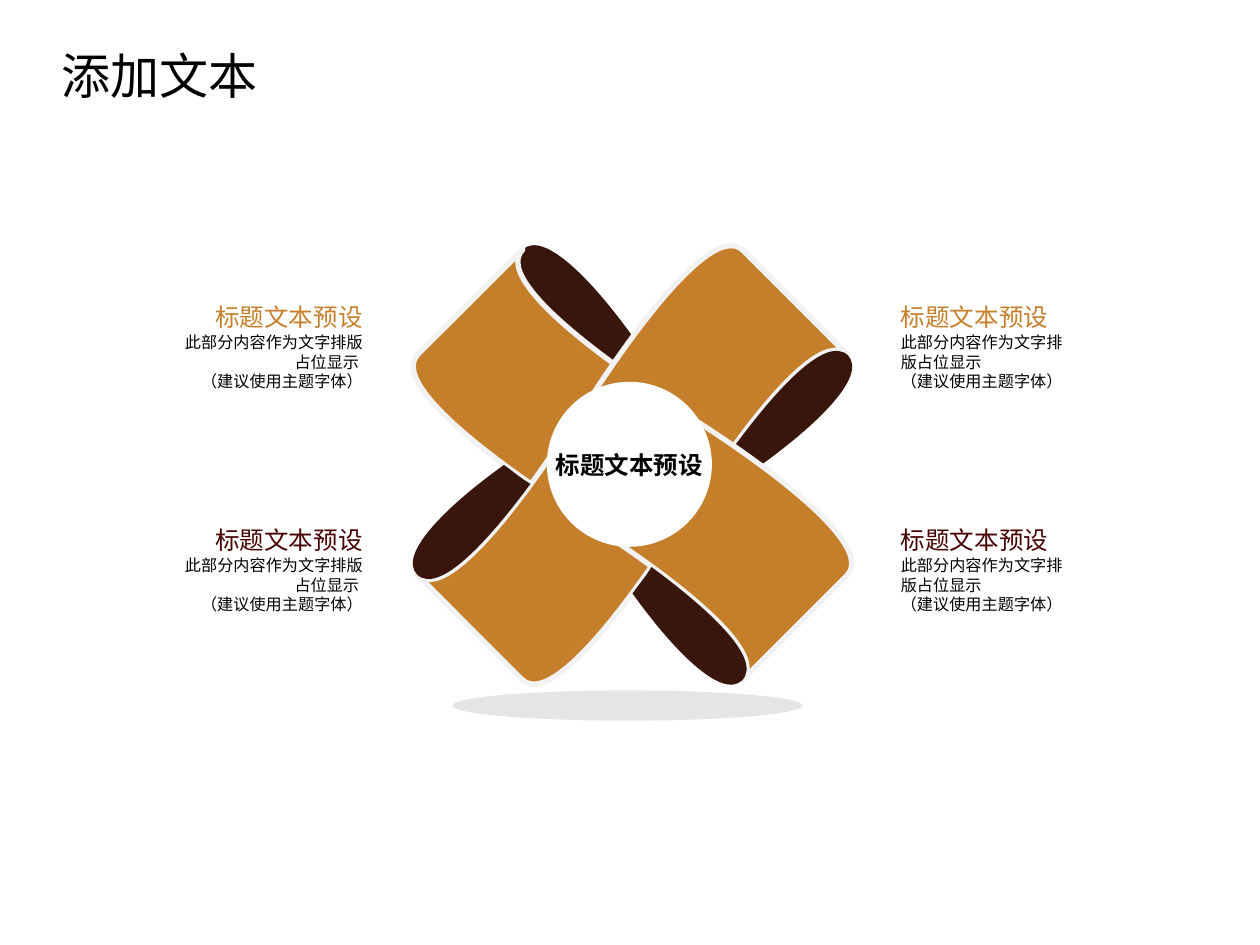
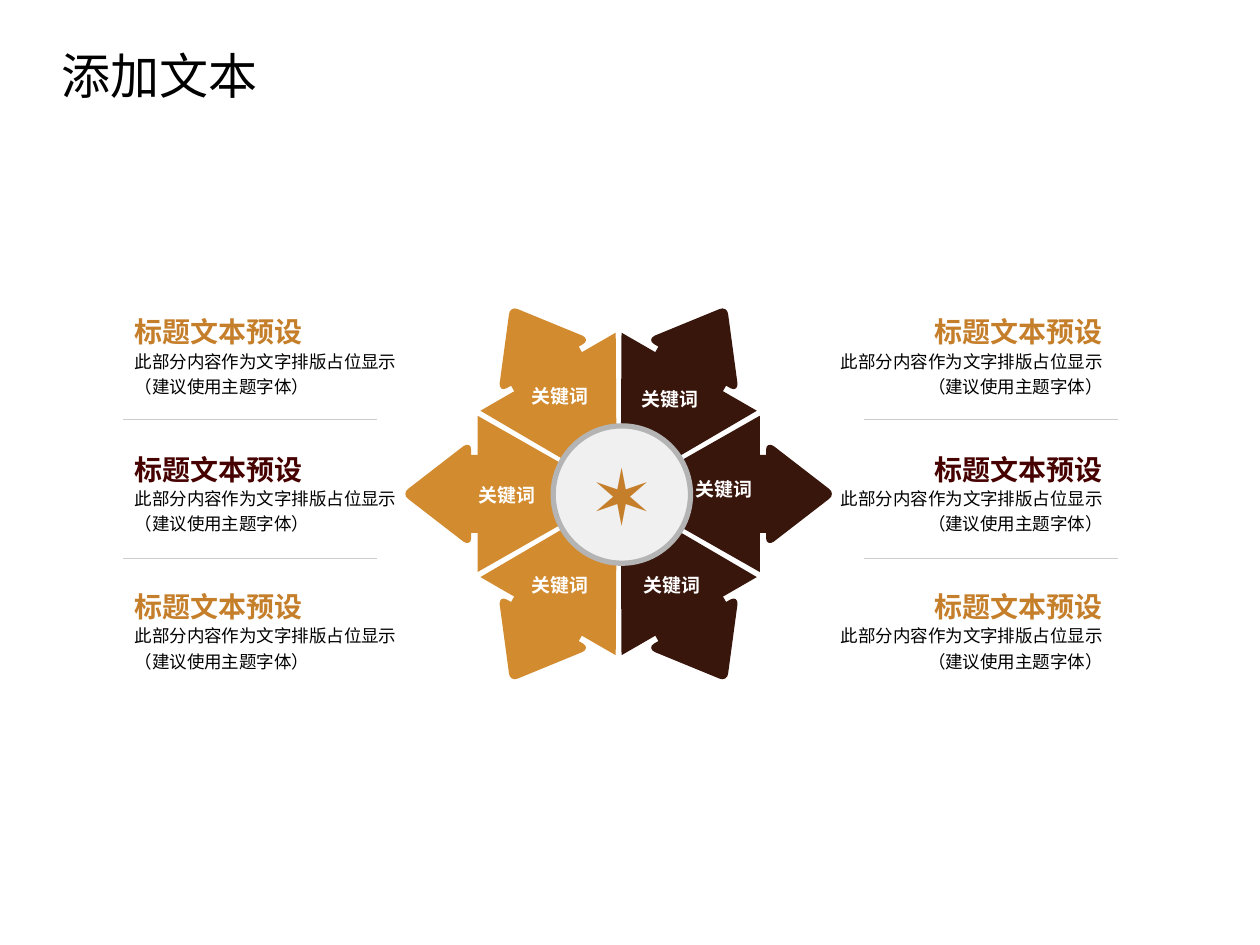
"""Build two slides: a four-blade pinwheel and a six-arrow hexagon, each with captions."""
from math import cos, radians, sin

from lxml.etree import SubElement
from pptx import Presentation
from pptx.dml.color import RGBColor
from pptx.enum.shapes import MSO_CONNECTOR, MSO_SHAPE
from pptx.enum.text import MSO_ANCHOR, MSO_AUTO_SIZE, PP_ALIGN
from pptx.oxml.ns import qn
from pptx.util import Inches, Pt

WIDTH, HEIGHT = 10, 7.5
FONT = "Noto Sans CJK SC"
COLORS = {
    "black": "000000", "white": "FFFFFF", "gold": "C57F2B", "amber": "D28B2F",
    "brown": "38160C", "maroon": "460000", "shadow": "E6E5E5", "edge": "F2F2F2",
    "hub": "F0F0F0", "ring": "B4B4B4", "rule": "CCCCCC",
}
TITLE = "添加文本"
HEADING = "标题文本预设"
BODY = ("此部分内容作为文字排版占位显示", "（建议使用主题字体）")
KEYWORD = "关键词"


def write_text(shape, text, size, color="black", bold=False, align=PP_ALIGN.LEFT,
               anchor=MSO_ANCHOR.TOP, insets=(0, 0, 0, 0), wrap=False, spacing=1.0):
    """Fill a shape with one formatted paragraph."""
    frame = shape.text_frame
    frame.auto_size = MSO_AUTO_SIZE.NONE
    frame.word_wrap = wrap
    frame.vertical_anchor = anchor
    frame.margin_left, frame.margin_top, frame.margin_right, frame.margin_bottom = map(Inches, insets)
    paragraph = frame.paragraphs[0]
    paragraph.text = text
    paragraph.alignment = align
    paragraph.line_spacing = spacing
    for run in paragraph.runs:
        run.font.size = Pt(size)
        run.font.bold = bold
        run.font.name = FONT
        run.font.color.rgb = RGBColor.from_string(COLORS[color])
        SubElement(run.font._element, qn("a:ea"), typeface=FONT)


def add_figure(slide, kind, geometry, fill, line=None, center=(0, 0), angle=0):
    """Add an ellipse from its box, or an outline of lines and Bezier curves turned about a center."""
    if kind == "ellipse":
        shape = slide.shapes.add_shape(MSO_SHAPE.OVAL, *map(Inches, geometry))
    else:
        c, s = cos(radians(angle)), sin(radians(angle))
        segments = [[(Inches(center[0] + x * c - y * s), Inches(center[1] + x * s + y * c))
                     for x, y in segment] for segment in geometry]
        extent = []
        for segment in segments:
            if len(segment) == 1:
                extent += segment
                continue
            controls = [extent[-1], *segment]
            for step in range(1, 25):
                t = step / 24
                weights = ((1 - t) ** 3, 3 * t * (1 - t) ** 2, 3 * t * t * (1 - t), t ** 3)
                extent.append([sum(w * p[axis] for w, p in zip(weights, controls)) for axis in (0, 1)])
        builder = slide.shapes.build_freeform(*extent[0])
        builder.add_line_segments(extent[1:], close=True)
        shape = builder.convert_to_shape()
        contour = next(shape._element.iter(qn("a:path")))
        for child in list(contour):
            contour.remove(child)
        for index, segment in enumerate(segments):
            command = "a:moveTo" if index == 0 else "a:lnTo" if len(segment) == 1 else "a:cubicBezTo"
            element = SubElement(contour, qn(command))
            for x, y in segment:
                SubElement(element, qn("a:pt"), x=str(x - shape.left), y=str(y - shape.top))
        SubElement(contour, qn("a:close"))
    shape.shadow.inherit = False
    shape.fill.solid()
    shape.fill.fore_color.rgb = RGBColor.from_string(COLORS[fill])
    if line:
        shape.line.color.rgb = RGBColor.from_string(COLORS[line])
        shape.line.width = Pt(3)
    else:
        shape.line.fill.background()
    return shape


presentation = Presentation()
presentation.slide_width, presentation.slide_height = Inches(WIDTH), Inches(HEIGHT)
slides = []
for _ in range(2):
    slide = presentation.slides.add_slide(presentation.slide_layouts[5])
    title = slide.shapes.title
    title.left, title.top, title.width, title.height = map(Inches, (0.39, 0.31, 1.77, 0.57))
    write_text(title, TITLE, 28, insets=(0.1, 0.05, 0.1, 0.05))
    slides.append(slide)
pinwheel_slide, hexagon_slide = slides

PINWHEEL_CENTER = (5.02, 3.69)
BLADE = [
    [(-0.87, -1.71)],
    [(-1.18, -1.4), (0.42, -0.42), (0.42, -0.42)],
    [(-0.41, 0.41)],
    [(-0.41, 0.41), (-2.01, -0.57), (-1.7, -0.88)],
]
FOLD = [
    [(-0.15, -0.81)],
    [(-0.11, -0.88), (-0.05, -0.95), (0, -1.02)],
    [(-0.3, -1.44), (-0.7, -1.87), (-0.87, -1.71)],
    [(-1.04, -1.53), (-0.57, -1.12), (-0.15, -0.81)],
]
add_figure(pinwheel_slide, "ellipse", (3.59, 5.48, 2.78, 0.24), "shadow")
for angle in (0, 90, 270, 180):
    parts = [(BLADE, "gold", "edge"), (FOLD, "brown", None)]
    if angle == 0:
        parts.reverse()
    for outline, fill, line in parts:
        add_figure(pinwheel_slide, "outline", outline, fill, line, PINWHEEL_CENTER, angle)
hub = add_figure(pinwheel_slide, "ellipse", (4.34, 3.03, 1.31, 1.31), "white")
write_text(hub, HEADING, 14, bold=True, align=PP_ALIGN.CENTER, anchor=MSO_ANCHOR.MIDDLE)

for left, width, align, insets in (
    (1.36, 1.91, PP_ALIGN.RIGHT, (0, 0, 0.39, 0)),
    (6.76, 1.76, PP_ALIGN.LEFT, (0.39, 0, 0, 0)),
):
    for top, color in ((2.39, "gold"), (4.16, "maroon")):
        layout = {"align": align, "insets": insets, "anchor": MSO_ANCHOR.MIDDLE}
        heading = pinwheel_slide.shapes.add_textbox(*map(Inches, (left, top, width, 0.25)))
        write_text(heading, HEADING, 14, color, **layout)
        body = pinwheel_slide.shapes.add_textbox(*map(Inches, (left, top + 0.25, width, 0.46)))
        write_text(body, " \v".join(BODY), 9.2, wrap=True, **layout)

HEXAGON_CENTER = (4.91, 3.92)
WEDGE = [[(-1.12, 0.62)], [(-1.12, -0.62)], [(-0.47, -0.25)], [(-0.47, 0.25)]]
ARROWHEAD = [
    [(-1, 0.31)],
    [(-1.17, 0.31)],
    [(-1.17, 0.35)],
    [(-1.17, 0.39), (-1.2, 0.4), (-1.23, 0.38)],
    [(-1.67, 0.04)],
    [(-1.7, 0.02), (-1.7, -0.02), (-1.67, -0.04)],
    [(-1.23, -0.38)],
    [(-1.2, -0.4), (-1.17, -0.39), (-1.17, -0.35)],
    [(-1.17, -0.31)],
    [(-1, -0.31)],
]
KEYWORD_PLACES = [(3.73, 3.79), (4.15, 3), (5.02, 3.03), (5.45, 3.74), (5.04, 4.5), (4.15, 4.5)]
for turn, (left, top) in enumerate(KEYWORD_PLACES):
    fill = "brown" if turn in (2, 3, 4) else "amber"
    for outline in (ARROWHEAD, WEDGE):
        add_figure(hexagon_slide, "outline", outline, fill, center=HEXAGON_CENTER, angle=60 * turn)
    keyword = hexagon_slide.shapes.add_textbox(*map(Inches, (left, top, 0.59, 0.25)))
    write_text(keyword, KEYWORD, 10.8, "white", bold=True, align=PP_ALIGN.CENTER,
               insets=(0.1, 0.05, 0.1, 0.05))
hub = add_figure(hexagon_slide, "ellipse", (4.39, 3.38, 1.09, 1.09), "hub", "ring")
write_text(hub, "✶", 44.4, "gold", align=PP_ALIGN.CENTER, anchor=MSO_ANCHOR.MIDDLE,
           insets=(0.1, 0.05, 0.1, 0.05), wrap=True)

ROW_TOP, ROW_PITCH = 2.5, 1.09
RULE_TOP, RULE_PITCH = 3.33, 1.1
for left, rule_left, align in ((6.61, 6.86, PP_ALIGN.RIGHT), (1.07, 0.98, PP_ALIGN.LEFT)):
    for row, color in enumerate(("gold", "maroon", "gold")):
        top = ROW_TOP + row * ROW_PITCH
        body = hexagon_slide.shapes.add_textbox(*map(Inches, (left, top + 0.25, 2.14, 0.42)))
        write_text(body, "\v".join(BODY), 10, align=align, wrap=True, spacing=1.2)
        heading = hexagon_slide.shapes.add_textbox(*map(Inches, (left, top, 2.14, 0.25)))
        write_text(heading, HEADING, 16, color, bold=True, align=align)
    for row in range(2):
        rule_top = RULE_TOP + row * RULE_PITCH
        rule = hexagon_slide.shapes.add_connector(
            MSO_CONNECTOR.STRAIGHT, *map(Inches, (rule_left, rule_top, rule_left + 2.01, rule_top)))
        rule.line.color.rgb = RGBColor.from_string(COLORS["rule"])
        rule.line.width = Pt(0.75)
        SubElement(rule._element.spPr, qn("a:effectLst"))

presentation.save("out.pptx")
